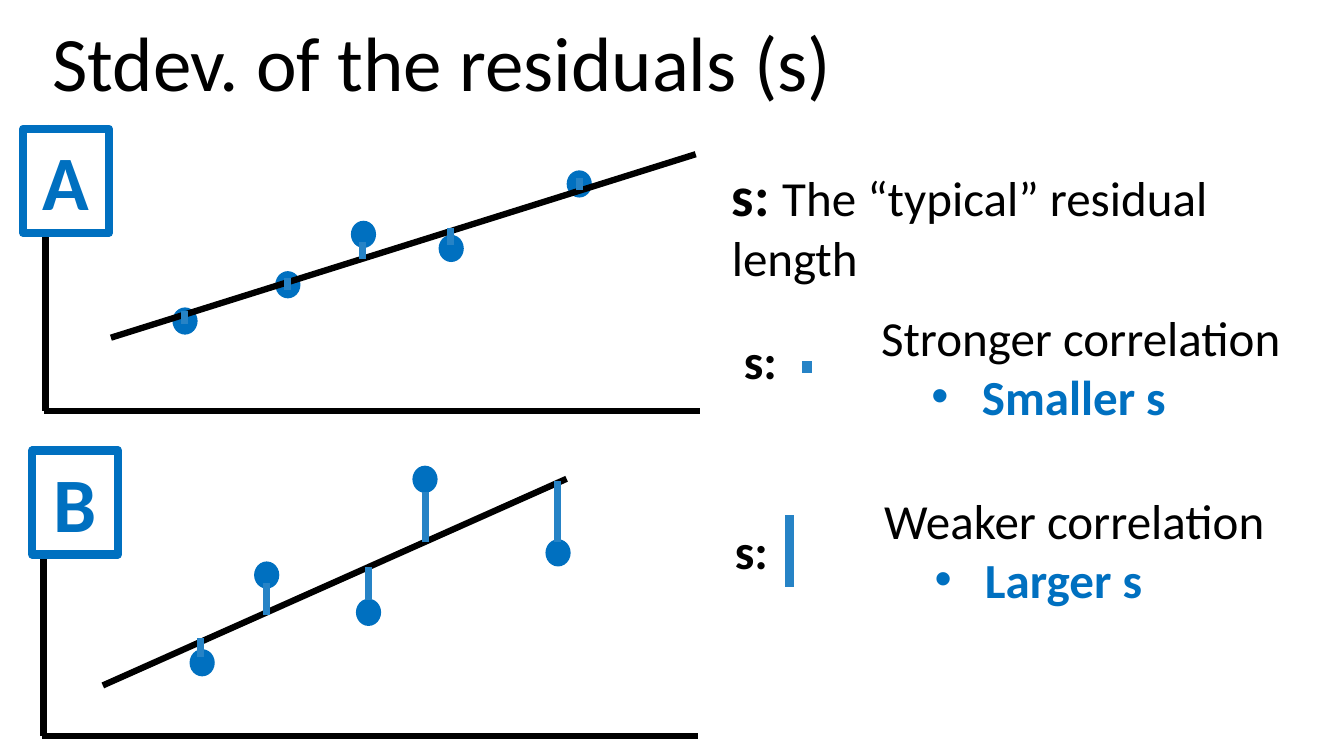
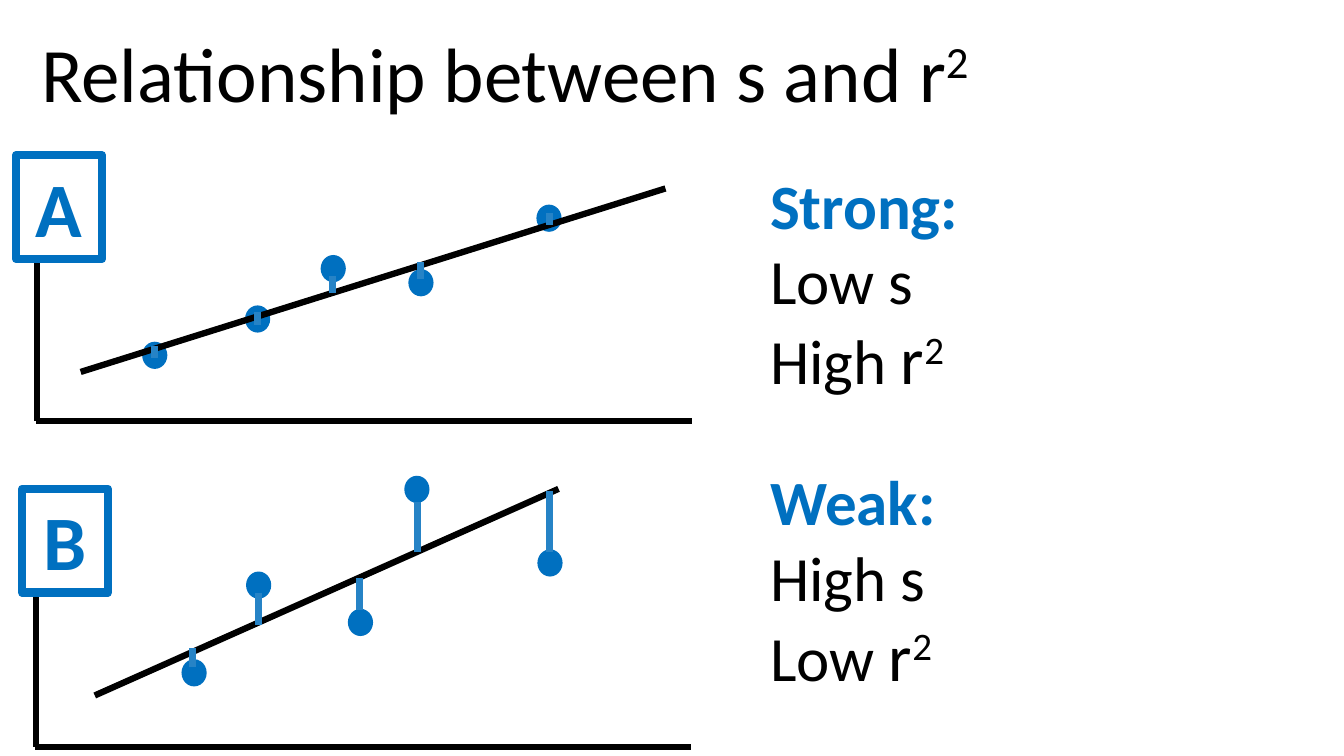
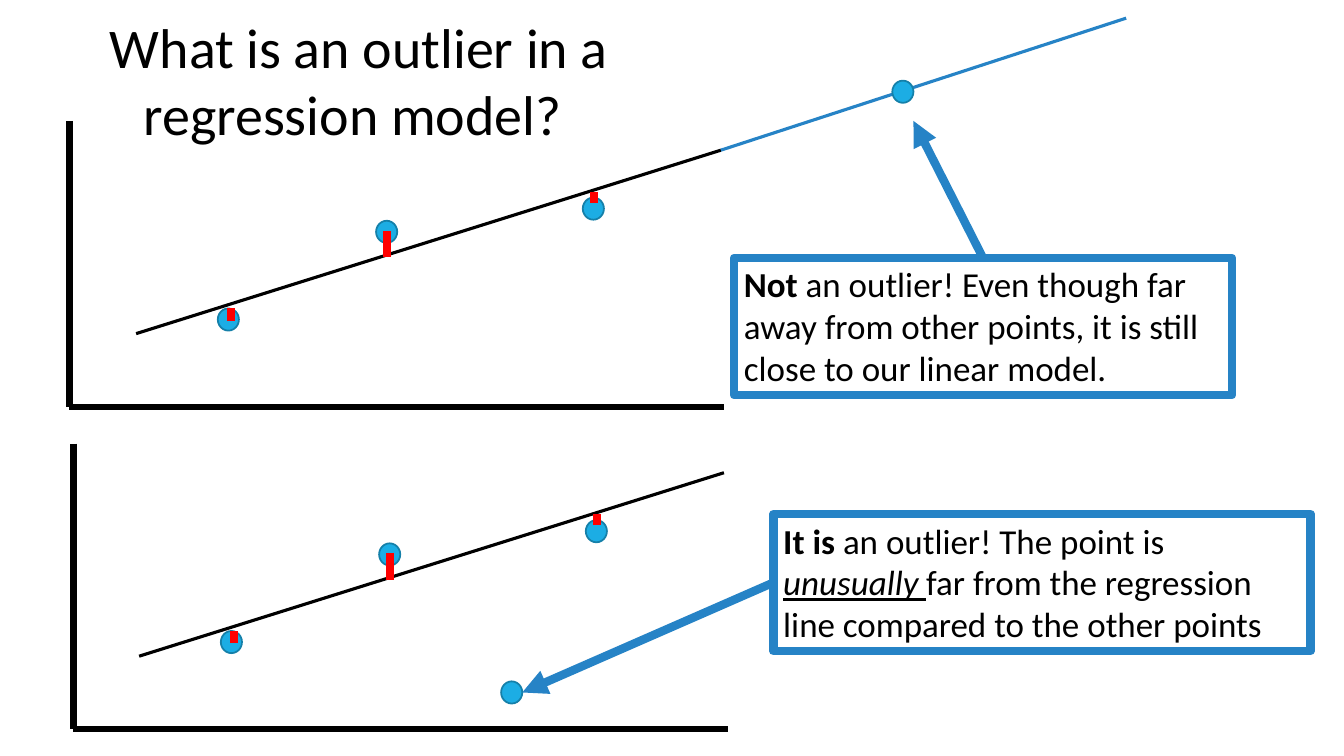
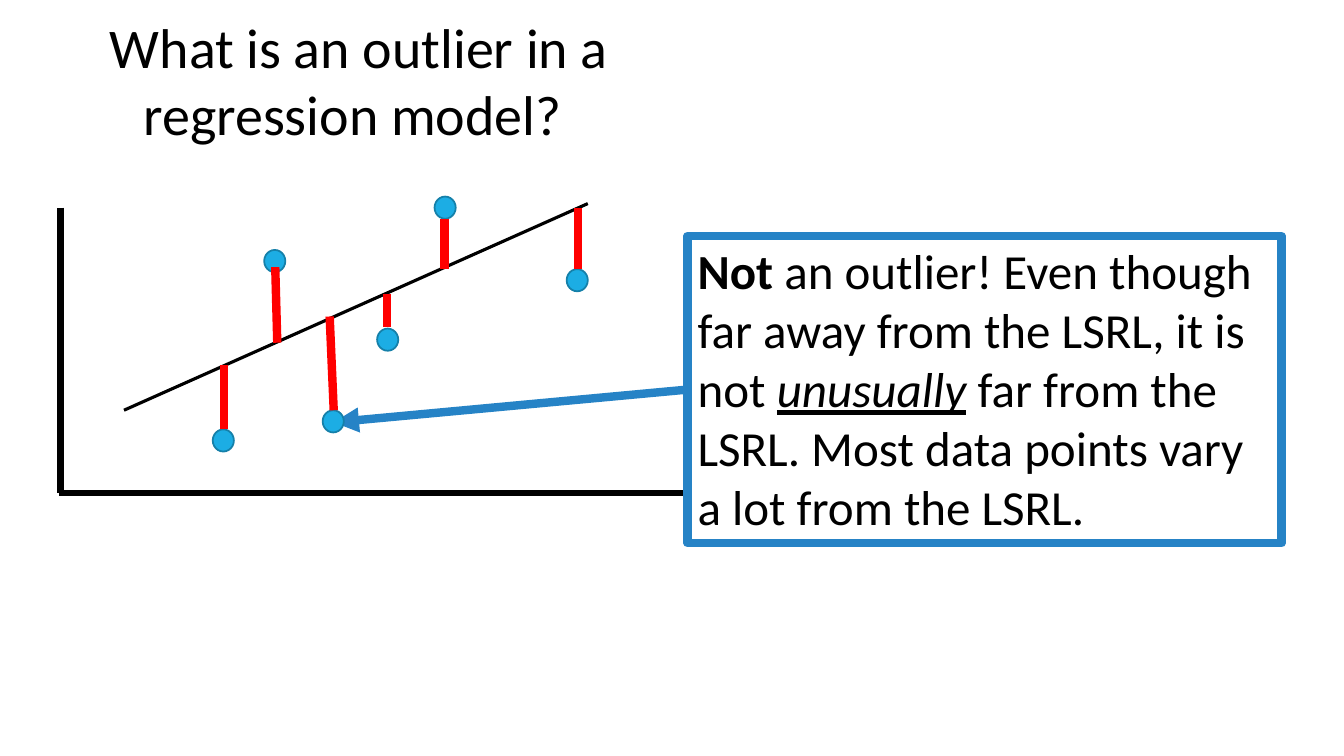
"""Build four slides about residuals and outliers in regression."""
from dataclasses import dataclass
from typing import NamedTuple, Optional

from lxml.etree import SubElement
from pptx import Presentation
from pptx.dml.color import RGBColor
from pptx.enum.shapes import MSO_CONNECTOR as Connector, MSO_SHAPE as Preset
from pptx.enum.text import MSO_AUTO_SIZE as AutoSize, PP_ALIGN as Align
from pptx.oxml.ns import qn
from pptx.util import Inches, Pt


@dataclass(frozen=True)
class Theme:
    font: str = "Calibri"
    black: str = "000000"
    white: str = "FFFFFF"
    blue: str = "0070C0"
    accent: str = "2683C6"
    sky: str = "1CADE4"
    sky_edge: str = "1580A9"
    red: str = "FF0000"
    title: float = 55
    question: float = 40
    summary: float = 45
    variable: float = 48
    body: float = 35
    note: float = 25
    frame: float = 6
    axis: float = 4.5


THEME = Theme()


class Frame(NamedTuple):
    left: float
    top: float
    width: float
    height: float


class Segment(NamedTuple):
    x1: float
    y1: float
    x2: float
    y2: float


class Axes(NamedTuple):
    x: float
    top: float
    base: float


@dataclass(frozen=True)
class Span:
    text: str
    size: Optional[float] = None
    color: Optional[str] = None
    bold: bool = False
    emphasis: bool = False
    raised: bool = False


@dataclass(frozen=True)
class Para:
    spans: tuple[Span, ...]
    bullet: bool = False


@dataclass(frozen=True)
class PlotStyle:
    dot_width: float
    dot_height: float
    dot_fill: str
    dot_edge: Optional[str]
    trend_weight: float
    stem_color: str
    stem_weight: float


@dataclass(frozen=True)
class Scatter:
    style: PlotStyle
    trend: Segment
    dots: tuple[tuple[float, float], ...]
    stems: tuple[Segment, ...]


BOLD_PLOT = PlotStyle(0.25, 0.27, THEME.blue, None, 4.5, THEME.accent, 5)
FINE_PLOT = PlotStyle(0.21, 0.22, THEME.sky, THEME.sky_edge, 2.25, THEME.red, 6)

STRONG = Scatter(
    BOLD_PLOT,
    Segment(1.1, 3.35, 6.9, 1.53),
    ((1.71, 3.05), (2.73, 2.69), (3.48, 2.19), (4.35, 2.33), (5.62, 1.69)),
    (
        Segment(1.83, 3.21, 1.83, 3.09),
        Segment(2.85, 2.88, 2.85, 2.76),
        Segment(3.6, 2.57, 3.6, 2.4),
        Segment(4.47, 2.43, 4.47, 2.26),
        Segment(5.75, 1.89, 5.75, 1.77),
    ),
)
WEAK = Scatter(
    BOLD_PLOT,
    Segment(1.02, 6.8, 5.62, 4.75),
    ((1.88, 6.44), (2.52, 5.57), (3.53, 5.94), (4.09, 4.62), (5.41, 5.35)),
    (
        Segment(1.99, 6.52, 1.99, 6.33),
        Segment(2.64, 6.1, 2.64, 5.78),
        Segment(3.65, 5.95, 3.65, 5.63),
        Segment(4.22, 5.38, 4.22, 4.88),
        Segment(5.53, 5.38, 5.53, 4.77),
    ),
)
CLOSE_FIT = Scatter(
    FINE_PLOT,
    Segment(1.35, 3.31, 7.15, 1.49),
    ((2.16, 3.06), (3.73, 2.19), (5.78, 1.96)),
    (
        Segment(2.29, 3.18, 2.29, 3.06),
        Segment(3.84, 2.55, 3.84, 2.29),
        Segment(5.89, 2.01, 5.89, 1.9),
    ),
)
LOOSE_FIT = Scatter(
    FINE_PLOT,
    Segment(1.23, 4.07, 5.83, 2.02),
    ((2.11, 4.26), (2.62, 2.48), (3.2, 4.07), (3.74, 3.26), (4.31, 1.95), (5.62, 2.67)),
    (
        Segment(2.22, 4.26, 2.22, 3.62),
        Segment(2.75, 3.4, 2.73, 2.65),
        Segment(3.31, 4.07, 3.27, 3.14),
        Segment(3.84, 3.24, 3.84, 2.92),
        Segment(4.41, 2.67, 4.41, 2.17),
        Segment(5.73, 2.67, 5.73, 2.06),
    ),
)


def rgb(color: str) -> RGBColor:
    """Turn a hex string into a colour."""
    return RGBColor.from_string(color)


def inches(values: tuple[float, ...]) -> list[Inches]:
    """Turn plain numbers into lengths."""
    return [Inches(value) for value in values]


def add_text(page, frame: Frame, paras: tuple[Para, ...], *, size: float,
             color: str = THEME.black, align: Align = Align.LEFT,
             wrap: bool = True, outline: Optional[str] = None):
    """Add a text box, framed in white when an outline colour is given."""
    box = page.shapes.add_textbox(*inches(frame))
    if outline:
        box.fill.solid()
        box.fill.fore_color.rgb = rgb(THEME.white)
        box.line.color.rgb = rgb(outline)
        box.line.width = Pt(THEME.frame)
    box.text_frame.word_wrap = wrap
    box.text_frame.auto_size = AutoSize.SHAPE_TO_FIT_TEXT
    for index, content in enumerate(paras):
        para = box.text_frame.add_paragraph() if index else box.text_frame.paragraphs[0]
        para.alignment = align
        if content.bullet:
            add_bullet(para)
        for span in content.spans:
            run = para.add_run()
            run.text = span.text
            run.font.name = THEME.font
            run.font.size = Pt(span.size or size)
            run.font.color.rgb = rgb(span.color or color)
            run.font.bold = span.bold
            run.font.italic = run.font.underline = span.emphasis
            if span.raised:
                run._r.get_or_add_rPr().set("baseline", "30000")
    return box


def add_bullet(para) -> None:
    """Make a paragraph a second-level bullet."""
    para.level = 1
    props = para._p.get_or_add_pPr()
    props.set("marL", str(Inches(1)))
    props.set("indent", str(Inches(-0.5)))
    SubElement(props, qn("a:buFont")).set("typeface", "Arial")
    SubElement(props, qn("a:buChar")).set("char", "•")


def add_line(page, segment: Segment, *, color: str = THEME.black,
             weight: float = THEME.axis, arrow: bool = False):
    """Add a straight line, with an arrowhead at its end if asked."""
    line = page.shapes.add_connector(Connector.STRAIGHT, *inches(segment))
    line.line.color.rgb = rgb(color)
    line.line.width = Pt(weight)
    if arrow:
        SubElement(line.line._get_or_add_ln(), qn("a:tailEnd")).set("type", "triangle")
    SubElement(line._element.spPr, qn("a:effectLst"))
    return line


def add_axes(page, axes: Axes) -> None:
    """Draw the vertical and horizontal axis of a plot."""
    left = axes.x - 0.01
    add_line(page, Segment(axes.x, axes.top, axes.x, axes.base))
    add_line(page, Segment(left + 6.5, axes.base, left, axes.base))


def add_dot(page, left: float, top: float, style: PlotStyle) -> None:
    """Draw one data point."""
    dot = page.shapes.add_shape(
        Preset.OVAL, *inches((left, top, style.dot_width, style.dot_height)))
    dot.shadow.inherit = False
    dot.fill.solid()
    dot.fill.fore_color.rgb = rgb(style.dot_fill)
    if style.dot_edge:
        dot.line.color.rgb = rgb(style.dot_edge)
        dot.line.width = Pt(1.25)
    else:
        dot.line.fill.background()


def add_scatter(page, scatter: Scatter, dx: float = 0, dy: float = 0) -> None:
    """Draw data points, trend line and residuals, moved by an offset."""
    style = scatter.style

    def moved(segment: Segment) -> Segment:
        """Shift a segment by the offset."""
        return Segment(segment.x1 + dx, segment.y1 + dy, segment.x2 + dx, segment.y2 + dy)

    for left, top in scatter.dots:
        add_dot(page, left + dx, top + dy, style)
    add_line(page, moved(scatter.trend), weight=style.trend_weight)
    for stem in scatter.stems:
        add_line(page, moved(stem), color=style.stem_color, weight=style.stem_weight)


def add_label(page, letter: str, left: float, top: float) -> None:
    """Add the framed letter of a plot."""
    add_text(page, Frame(left, top, 0.85, 1.03), (Para((Span(letter, bold=True),)),),
             size=THEME.title, color=THEME.blue, align=Align.CENTER, outline=THEME.blue)


def add_callout(page, frame: Frame, spans: tuple[Span, ...], *, size: float,
                site: int, target: tuple[float, float]) -> None:
    """Add a framed note with an arrow from one of its sides to a target."""
    box = add_text(page, frame, (Para(spans),), size=size, outline=THEME.accent)
    arrow = add_line(page, Segment(frame.left, frame.top, *target),
                     color=THEME.accent, weight=THEME.frame, arrow=True)
    arrow.begin_connect(box, site)


def add_question(page) -> None:
    """Add the title shared by the outlier slides."""
    add_text(page, Frame(0.35, 0.07, 6.42, 1.45),
             (Para((Span("What is an outlier in a regression model? "),)),),
             size=THEME.question, align=Align.CENTER)


def add_conclusion(page, frame: Frame, heading: str, result: str) -> None:
    """Add a statement with a highlighted bullet below it."""
    add_text(page, frame, (
        Para((Span(heading),)),
        Para((Span(result, color=THEME.blue, bold=True),), bullet=True),
    ), size=THEME.body)


def add_summary(page, top: float, strength: str, s_level: str, r_level: str) -> None:
    """Add the levels of s and r² for one strength."""
    add_text(page, Frame(7.54, top, 3.63, 2.42), (
        Para((Span(strength, color=THEME.blue, bold=True),)),
        Para((Span(f"{s_level} s"),)),
        Para((Span(f"{r_level} "), Span("r", size=THEME.variable),
              Span("2", size=THEME.variable, raised=True))),
    ), size=THEME.summary)


def build_residuals(page) -> None:
    """Fill the slide on the standard deviation of the residuals."""
    add_axes(page, Axes(0.45, 1.24, 4.08))
    add_axes(page, Axes(0.43, 4.47, 7.3))
    add_text(page, Frame(0.42, 0.1, 8.62, 1.03),
             (Para((Span("Stdev. of the residuals (s)"),)),), size=THEME.title)
    add_label(page, "A", 0.23, 1.28)
    add_label(page, "B", 0.32, 4.47)
    add_scatter(page, STRONG)
    add_scatter(page, WEAK)
    add_text(page, Frame(7.16, 1.54, 5.8, 1.36), (Para((
        Span("s: ", size=THEME.question, bold=True),
        Span("The “typical” residual length"),
    )),), size=THEME.body)
    for left, top, sample in (
        (7.28, 3.23, Segment(8, 3.7, 8, 3.58)),
        (7.19, 5.11, Segment(7.83, 5.82, 7.83, 5.11)),
    ):
        add_text(page, Frame(left, top, 0.64, 0.69), (Para((Span("s:", bold=True),)),),
                 size=THEME.body, wrap=False)
        add_line(page, sample, color=THEME.accent, weight=7)
    add_conclusion(page, Frame(8.64, 3, 4.2, 1.28), "Stronger correlation", "Smaller s")
    add_conclusion(page, Frame(8.67, 4.82, 4.02, 1.28), "Weaker correlation", "Larger s")


def build_relationship(page) -> None:
    """Fill the slide on s and r²."""
    add_text(page, Frame(0.31, 0.2, 9.71, 1.03),
             (Para((Span("Relationship between s and r"), Span("2", raised=True))),),
             size=THEME.title, wrap=False)
    add_axes(page, Axes(0.37, 1.54, 4.18))
    add_axes(page, Axes(0.36, 4.85, 7.41))
    add_label(page, "A", 0.16, 1.54)
    add_label(page, "B", 0.22, 4.85)
    add_scatter(page, STRONG, -0.3, 0.34)
    add_scatter(page, WEAK, -0.08, 0.1)
    add_summary(page, 1.6, "Strong:", "Low", "High")
    add_summary(page, 4.54, "Weak:", "High", "Low")


def build_outliers(page) -> None:
    """Fill the slide comparing a distant point with an outlier."""
    add_axes(page, Axes(0.69, 1.2, 4.04))
    add_axes(page, Axes(0.73, 4.4, 7.23))
    add_question(page)
    add_scatter(page, CLOSE_FIT)
    add_scatter(page, CLOSE_FIT, 0.03, 3.2)
    add_dot(page, 4.97, 6.76, FINE_PLOT)
    add_line(page, Segment(7.15, 1.49, 11.17, 0.18), color=THEME.accent, weight=2.25)
    add_dot(page, 8.85, 0.8, FINE_PLOT)
    add_callout(page, Frame(7.67, 5.1, 5.33, 1.36), (
        Span("It is", bold=True),
        Span(" an outlier! The point is "),
        Span("unusually ", emphasis=True),
        Span("far from the regression line compared to the other points"),
    ), size=THEME.note, site=1, target=(5.18, 6.87))
    add_callout(page, Frame(7.28, 2.56, 4.94, 1.36), (
        Span("Not", bold=True),
        Span(" an outlier! Even though far away from other points, "
             "it is still close to our linear model."),
    ), size=THEME.note, site=0, target=(9.06, 1.2))


def build_spread(page) -> None:
    """Fill the slide on a point that is far but not unusual."""
    add_question(page)
    add_axes(page, Axes(0.6, 2.06, 4.89))
    add_callout(page, Frame(6.82, 2.34, 5.89, 3.05), (
        Span("Not", bold=True),
        Span(" an outlier! Even though far away from the LSRL, it is not "),
        Span("unusually", emphasis=True),
        Span(" far from the LSRL. Most data points vary a lot from the LSRL."),
    ), size=THEME.body, site=1, target=(3.31, 4.19))
    add_scatter(page, LOOSE_FIT)


def main() -> None:
    """Build and save the deck."""
    deck = Presentation()
    deck.slide_width, deck.slide_height = Inches(13.33), Inches(7.5)
    for build in (build_residuals, build_relationship, build_outliers, build_spread):
        build(deck.slides.add_slide(deck.slide_layouts[6]))
    deck.save("out.pptx")


if __name__ == "__main__":
    main()
